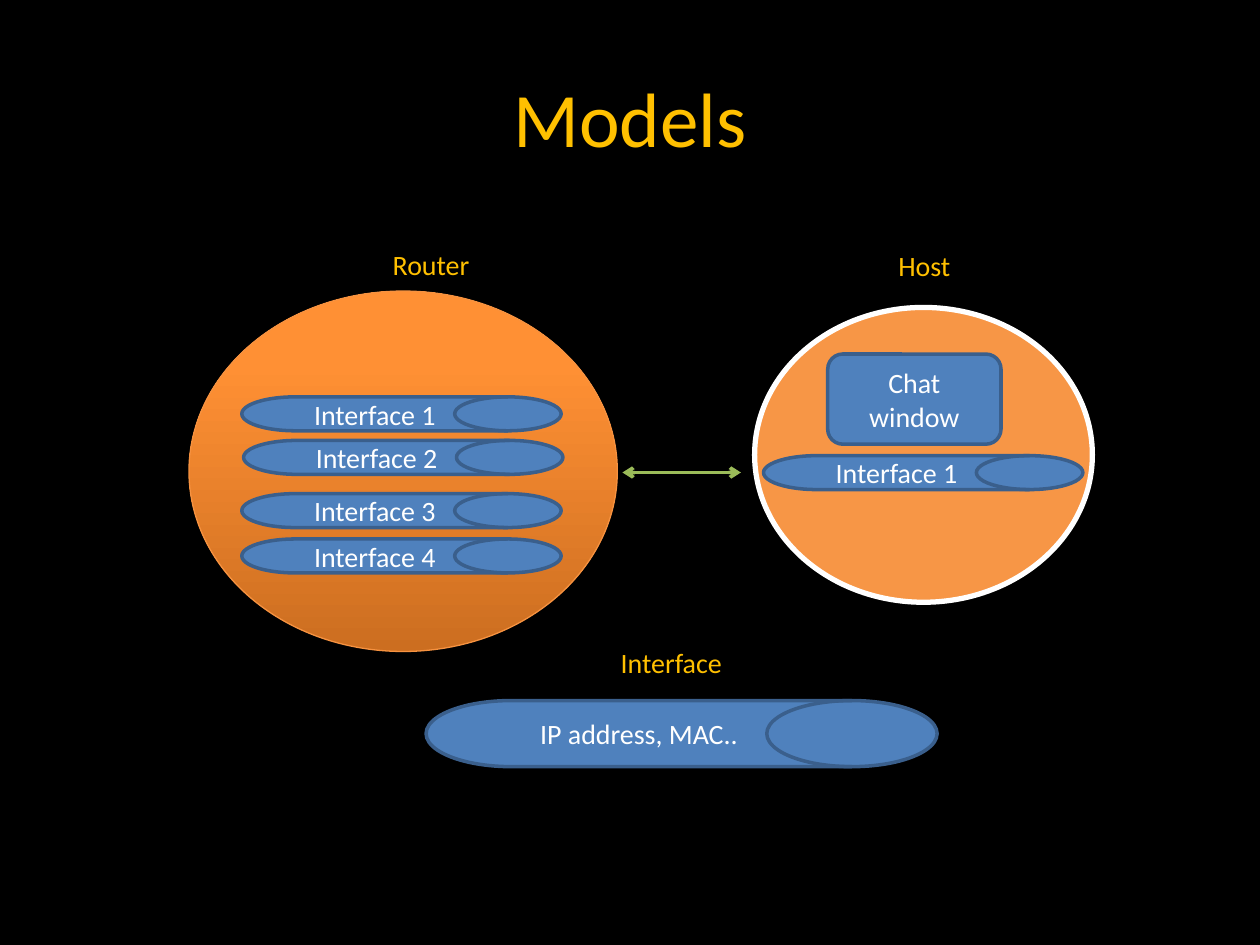
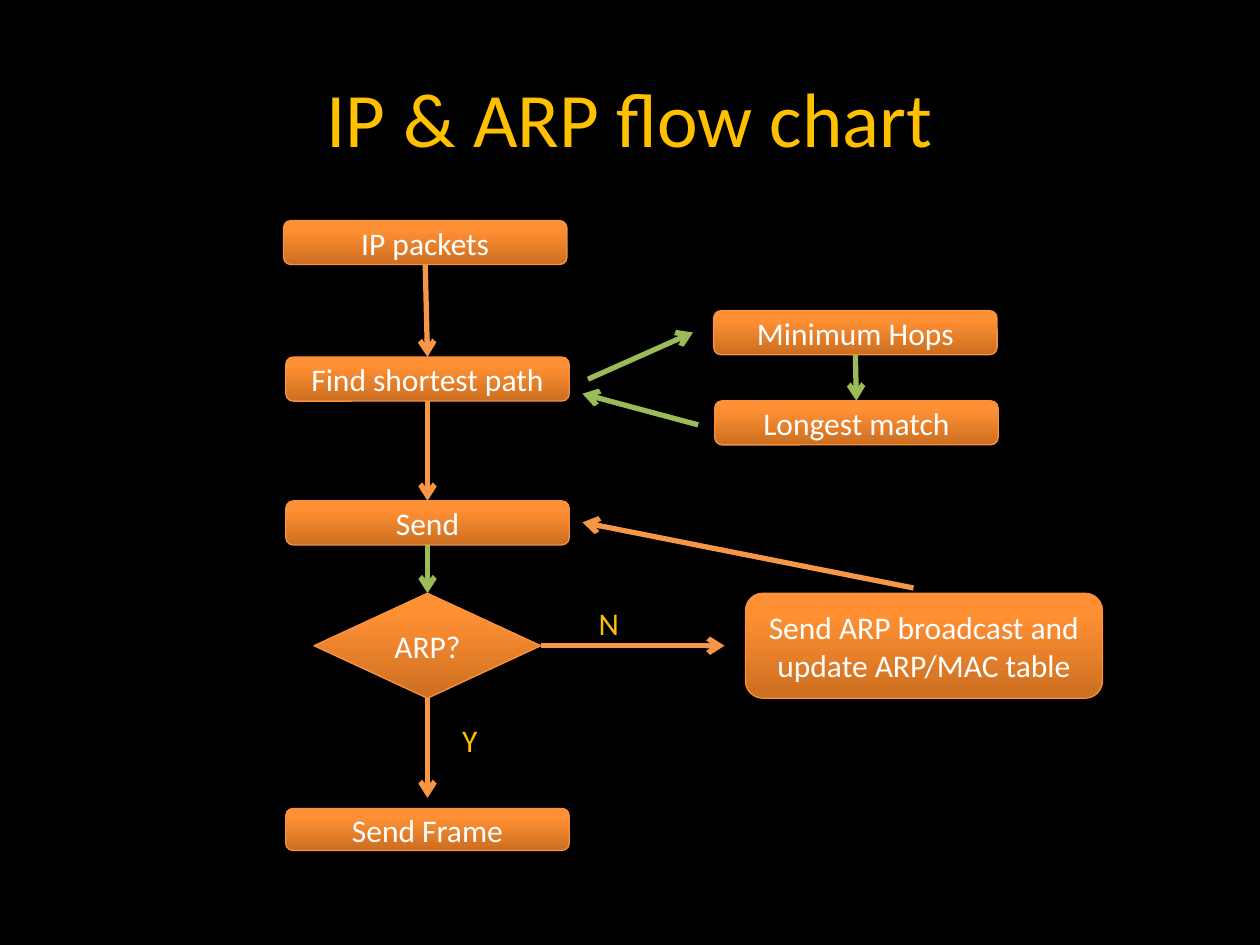
"""Build two slides: network models and the IP and ARP flow chart."""
from copy import deepcopy

from pptx import Presentation
from pptx.dml.color import RGBColor
from pptx.enum.shapes import MSO_CONNECTOR as Conn, MSO_SHAPE as Geo
from pptx.enum.text import MSO_ANCHOR as Anchor, PP_ALIGN as Align
from pptx.oxml.ns import qn
from pptx.oxml.xmlchemy import OxmlElement as Node
from pptx.util import Pt

FONT = "Calibri"
HEX = {
    "black": "000000", "gold": "FFC000", "white": "FFFFFF",
    "blue": "4F81BD", "navy": "3A5F8C", "green": "9BBB59",
    "orange": "F79646", "edge": "F69240",
    "dark": "CC6E20", "mid": "FF9034", "light": "FF9136",
}
GLOW = [(0, "dark"), (0.8, "mid"), (1, "light")]
TITLE = (36, 21.6, 648, 90)
TOP, LEFT, BOTTOM, RIGHT = range(4)

ROUTER = (108, 166.3, 244.8, 206)
HOST = (431.2, 175.7, 193, 168.5)
CHAT = ("Chat window", (473, 202.3, 99, 51.5))
DRUM = (182.5, 19.4)
PORTS = [
    ("Interface 1", 138.2, 226.8),
    ("Interface 2", 139.2, 251.7),
    ("Interface 3", 138.2, 282.1),
    ("Interface 4", 138.2, 308),
    ("Interface 1", 436.3, 260.4),
]
DETAIL = ("IP address, MAC..", (243.5, 400.3, 292, 37.8))
NAMES = [
    ("Interface", (347.6, 365.2, 73.4, 26.6)),
    ("Router", (217.3, 137.9, 59, 26.6)),
    ("Host", (506.2, 138.4, 44.6, 26.6)),
]
LINK = ((355.7, 270), (423.4, 270))

WIDE, TALL = 162, 25.2
STEPS = {
    "packets": ("IP packets", Geo.ROUNDED_RECTANGLE, (162, 126, WIDE, TALL)),
    "find": ("Find shortest path", Geo.ROUNDED_RECTANGLE, (163.3, 204, WIDE, TALL)),
    "send": ("Send", Geo.ROUNDED_RECTANGLE, (163.3, 286.2, WIDE, TALL)),
    "hops": ("Minimum Hops", Geo.ROUNDED_RECTANGLE, (407.8, 177.5, WIDE, TALL)),
    "match": ("Longest match", Geo.ROUNDED_RECTANGLE, (408.4, 229, WIDE, TALL)),
    "arp": ("ARP?", Geo.DIAMOND, (179.5, 339, 129.6, 60)),
    "cast": ("Send ARP broadcast and update ARP/MAC table",
             Geo.ROUNDED_RECTANGLE, (426, 339, 204, 60)),
    "frame": ("Send Frame", Geo.ROUNDED_RECTANGLE, (163.3, 462, WIDE, 24)),
}
FLOWS = [
    (("packets", BOTTOM), ("find", TOP), "orange"),
    (("find", BOTTOM), ("send", TOP), "orange"),
    ((336, 216.7), (396, 190), "green"),
    ((399, 242.8), (332.8, 225), "green"),
    (("hops", BOTTOM), ("match", TOP), "green"),
    (("send", BOTTOM), ("arp", TOP), "green"),
    (("arp", RIGHT), (414, 369), "orange"),
    ((522, 336), (332.8, 298.5), "orange"),
    (("arp", BOTTOM), (244.3, 456), "orange"),
]
MARKS = [("Y", (257, 408.5, 23, 29)), ("N", (335, 341.6, 26, 29))]


def rgb(name):
    return RGBColor.from_string(HEX[name])


def pts(nums):
    return [Pt(n) for n in nums]


def write(frame, text, size, color, align=None):
    frame.text = text
    for para in frame.paragraphs:
        para.alignment = align
        for run in para.runs:
            run.font.name = FONT
            run.font.size = Pt(size)
            run.font.color.rgb = rgb(color)


def new_slide(deck, text):
    slide = deck.slides.add_slide(deck.slide_layouts[5])
    title = slide.shapes.title
    title.left, title.top, title.width, title.height = pts(TITLE)
    title.text_frame.vertical_anchor = Anchor.MIDDLE
    write(title.text_frame, text, 44, "gold", Align.CENTER)
    return slide


def glow(node):
    fill = node.fill
    fill.gradient()
    fill.gradient_angle = 90
    stops = node._element.spPr.find(".//" + qn("a:gsLst"))
    stops.append(deepcopy(stops[-1]))
    for stop, (pos, color) in zip(fill.gradient_stops, GLOW):
        stop.position = pos
        stop.color.rgb = rgb(color)


def add_node(slide, geo, box, fill, edge, width, text="", size=16):
    node = slide.shapes.add_shape(geo, *pts(box))
    node.shadow.inherit = False
    if fill == "glow":
        glow(node)
    else:
        node.fill.solid()
        node.fill.fore_color.rgb = rgb(fill)
    node.line.color.rgb = rgb(edge)
    node.line.width = Pt(width)
    if text:
        node.text_frame.vertical_anchor = Anchor.MIDDLE
        write(node.text_frame, text, size, "white", Align.CENTER)
    return node


def add_label(slide, text, box, size):
    frame = slide.shapes.add_textbox(*pts(box)).text_frame
    frame.word_wrap = False
    write(frame, text, size, "gold")


def add_arrow(slide, start, end, color, width, ends=("tailEnd",), nodes=None):
    fixed = [isinstance(spot[0], str) for spot in (start, end)]
    spots = [(0, 0) if tied else spot for tied, spot in zip(fixed, (start, end))]
    arrow = slide.shapes.add_connector(Conn.STRAIGHT, *pts(spots[0] + spots[1]))
    joins = (arrow.begin_connect, arrow.end_connect)
    for tied, spot, join in zip(fixed, (start, end), joins):
        if tied:
            join(nodes[spot[0]], spot[1])
    arrow.line.color.rgb = rgb(color)
    arrow.line.width = Pt(width)
    for name in ends:
        tip = Node("a:" + name)
        tip.set("type", "arrow")
        arrow._element.spPr.find(qn("a:ln")).append(tip)
    arrow._element.spPr.append(Node("a:effectLst"))


def draw_models(deck):
    slide = new_slide(deck, "Models")
    add_node(slide, Geo.OVAL, ROUTER, "glow", "edge", 0.75)
    add_node(slide, Geo.OVAL, HOST, "orange", "white", 3)
    drums = [(text, (x, y) + DRUM) for text, x, y in PORTS] + [DETAIL]
    parts = [(Geo.FLOWCHART_DIRECT_ACCESS_STORAGE, *drum) for drum in drums]
    for geo, text, box in parts + [(Geo.ROUNDED_RECTANGLE, *CHAT)]:
        add_node(slide, geo, box, "blue", "navy", 2, text)
    for text, box in NAMES:
        add_label(slide, text, box, 16)
    add_arrow(slide, *LINK, "green", 2, ("headEnd", "tailEnd"))


def draw_flow(deck):
    slide = new_slide(deck, "IP & ARP flow chart")
    nodes = {
        key: add_node(slide, geo, box, "glow", "edge", 0.75, text, 18)
        for key, (text, geo, box) in STEPS.items()
    }
    for start, end, color in FLOWS:
        add_arrow(slide, start, end, color, 3, nodes=nodes)
    for text, box in MARKS:
        add_label(slide, text, box, 18)


def main():
    deck = Presentation()
    deck.slide_width, deck.slide_height = pts((720, 540))
    back = deck.slide_master.background.fill
    back.solid()
    back.fore_color.rgb = rgb("black")
    draw_models(deck)
    draw_flow(deck)
    deck.save("out.pptx")


if __name__ == "__main__":
    main()
